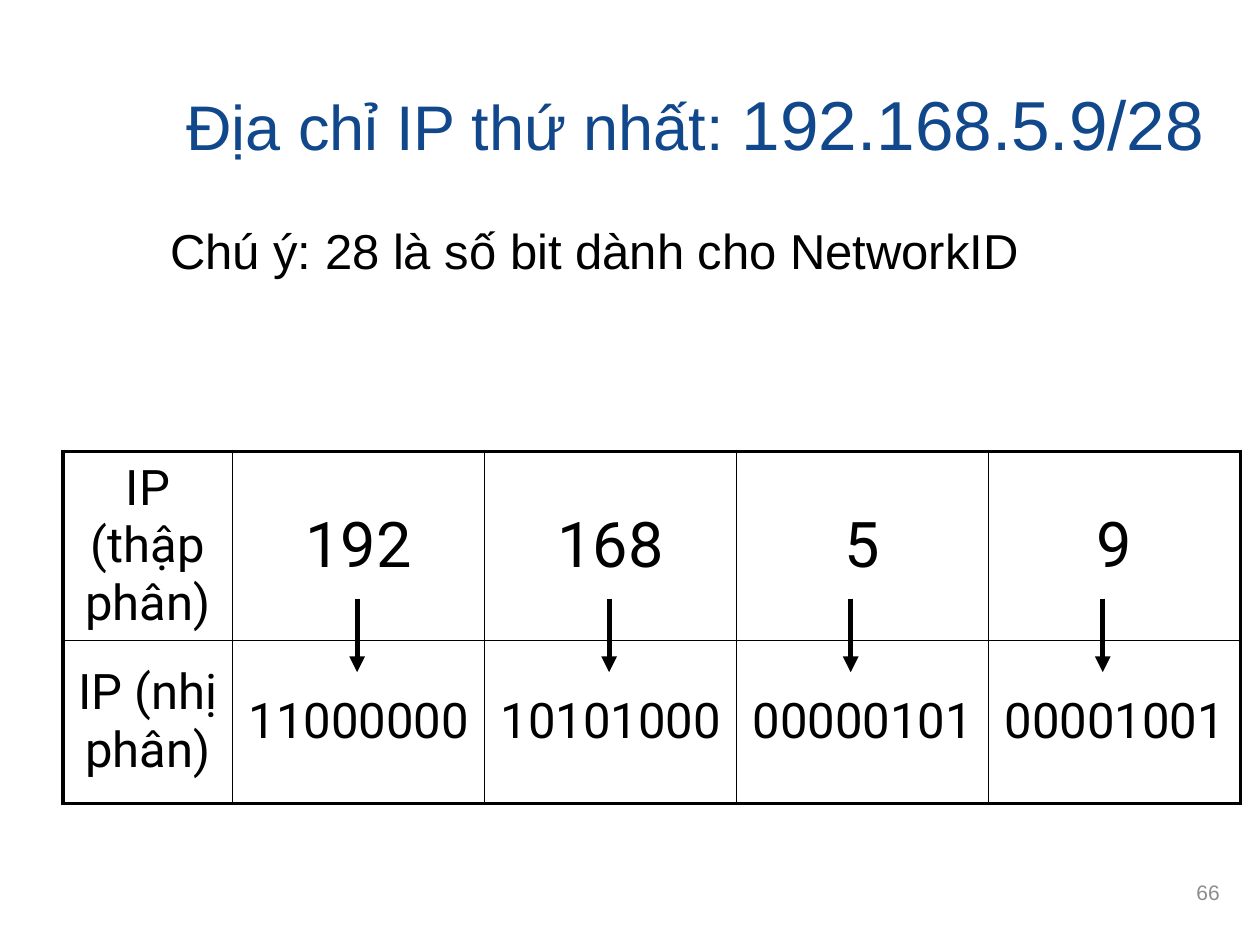
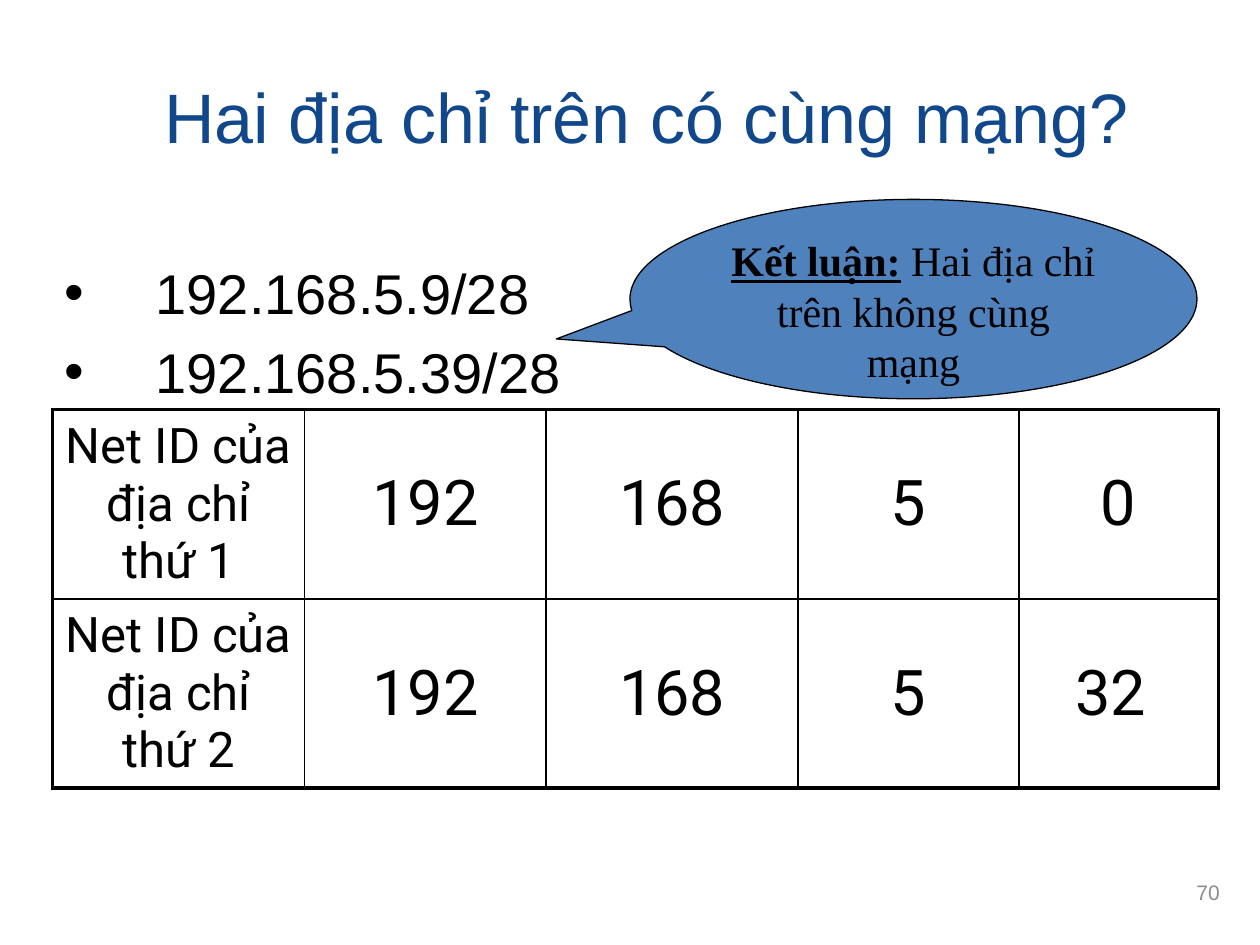
from dataclasses import dataclass

from lxml import etree
from pptx import Presentation
from pptx.dml.color import RGBColor
from pptx.enum import shapes, text
from pptx.oxml import ns
from pptx.util import Cm, Pt


@dataclass(frozen=True)
class Theme:
    title: str = "11478B"
    ink: str = "000000"
    muted: str = "8C8C8C"
    callout: str = "4F81BD"
    sans: str = "Arial"
    table_font: str = "Roboto"
    serif: str = "Times New Roman"
    title_size: float = 40
    large: float = 36
    bullet_size: float = 32
    body: float = 28
    callout_size: float = 24
    page_size: float = 12
    thick: float = 2.25
    thin: float = 1
    arrow: float = 3


THEME = Theme()
ALIGN = text.PP_ALIGN
ANCHOR = text.MSO_ANCHOR


def rgb(value):
    return RGBColor.from_string(value)


def style(r, size, font=THEME.sans, color=THEME.ink):
    r.font.size = Pt(size)
    r.font.name = font
    r.font.color.rgb = rgb(color)


def add_text(slide, box, anchor=ANCHOR.TOP):
    """Add a wrapping text box; box is left, top, width, height in cm."""
    tf = slide.shapes.add_textbox(*map(Cm, box)).text_frame
    tf.word_wrap = True
    tf.vertical_anchor = anchor
    return tf


def add_title(slide, box, parts):
    p = add_text(slide, box, ANCHOR.MIDDLE).paragraphs[0]
    p.alignment = ALIGN.CENTER
    for words, size in parts:
        r = p.add_run()
        r.text = words
        style(r, size, color=THEME.title)


def add_body(slide, box, lines, size, bullets=False, line_spacing=1.0):
    tf = add_text(slide, box)
    tf.text = "\n".join(lines)
    for p in tf.paragraphs:
        p.line_spacing = line_spacing
        p.space_before = Pt(round(size * 0.22))
        style(p.runs[0], size)
        if bullets:
            pPr = p._p.get_or_add_pPr()
            pPr.set("marL", str(Cm(1.83)))
            pPr.set("indent", str(-Cm(1.83)))
            etree.SubElement(pPr, ns.qn("a:buFont"), typeface=THEME.sans)
            etree.SubElement(pPr, ns.qn("a:buChar"), char="•")


def add_page_number(slide, number):
    tf = add_text(slide, (19.56, 17.35, 5.28, 1.27), ANCHOR.MIDDLE)
    tf.text = str(number)
    p = tf.paragraphs[0]
    p.alignment = ALIGN.RIGHT
    style(p.runs[0], THEME.page_size, color=THEME.muted)


def set_borders(cell, outer_sides):
    """Draw all four borders, thicker on the table's outer sides."""
    tcPr = cell._tc.get_or_add_tcPr()
    for i, side in enumerate("LRTB"):
        width = THEME.thick if side in outer_sides else THEME.thin
        ln = etree.Element(ns.qn(f"a:ln{side}"), w=str(Pt(width)))
        fill = etree.SubElement(ln, ns.qn("a:solidFill"))
        etree.SubElement(fill, ns.qn("a:srgbClr"), val=THEME.ink)
        tcPr.insert(i, ln)


def add_grid(slide, left, top, widths, heights, rows, number_sizes):
    """Add a table with a label column and one number size per row."""
    table = slide.shapes.add_table(
        len(rows), len(widths), Cm(left), Cm(top),
        Cm(sum(widths)), Cm(sum(heights))).table
    table.first_row = table.horz_banding = False
    for column, width in zip(table.columns, widths):
        column.width = Cm(width)
    for i, (row, height) in enumerate(zip(rows, heights)):
        table.rows[i].height = Cm(height)
        for j, words in enumerate(row):
            cell = table.cell(i, j)
            cell.text = words
            cell.vertical_anchor = ANCHOR.MIDDLE
            cell.fill.background()
            p = cell.text_frame.paragraphs[0]
            p.alignment = ALIGN.CENTER
            size = number_sizes[i] if j else THEME.body
            style(p.runs[0], size, THEME.table_font)
            outer = {"L": j == 0, "R": j == len(widths) - 1,
                     "T": i == 0, "B": i == len(rows) - 1}
            set_borders(cell, [side for side in outer if outer[side]])


def add_down_arrow(slide, x, top, bottom):
    line = slide.shapes.add_connector(
        shapes.MSO_CONNECTOR.STRAIGHT, Cm(x), Cm(top), Cm(x), Cm(bottom))
    line.line.color.rgb = rgb(THEME.ink)
    line.line.width = Pt(THEME.arrow)
    etree.SubElement(line.line._get_or_add_ln(), ns.qn("a:tailEnd"),
                     type="triangle")
    etree.SubElement(line._element.spPr, ns.qn("a:effectLst"))


def add_callout(slide, box, tip, heading, message):
    sp = slide.shapes.add_shape(
        shapes.MSO_SHAPE.OVAL_CALLOUT, *map(Cm, box))
    sp.shadow.inherit = False
    sp.adjustments[0], sp.adjustments[1] = tip
    sp.fill.solid()
    sp.fill.fore_color.rgb = rgb(THEME.callout)
    sp.line.color.rgb = rgb(THEME.ink)
    sp.line.width = Pt(0.75)
    tf = sp.text_frame
    tf.word_wrap = True
    tf.vertical_anchor = ANCHOR.TOP
    p = tf.paragraphs[0]
    p.alignment = ALIGN.CENTER
    for words, strong in ((heading, True), (message, False)):
        r = p.add_run()
        r.text = words
        style(r, THEME.callout_size, THEME.serif)
        r.font.bold = r.font.underline = strong


def build_first_address(slide):
    add_title(slide, (3.4, 0.86, 21.23, 3.25),
              [("Địa chỉ IP thứ nhất: ", THEME.large),
               ("192.168.5.9/28 ", 39.6)])
    add_body(slide, (3.18, 4.45, 20.52, 3.6),
             ["Chú ý: 28 là số bit dành cho NetworkID"],
             THEME.body, line_spacing=0.9)
    add_grid(slide, 1.27, 9.1, [3.42] + [5.08] * 4, [3.71, 3.28],
             [["IP (thập phân)", "192", "168", "5", "9"],
              ["IP (nhị phân)", "11000000 ", "10101000 ",
               "00000101 ", "00001001 "]],
             [THEME.large, THEME.body])
    add_page_number(slide, 66)
    # Decimal to binary
    for x in (7.2, 12.28, 17.15, 22.23):
        add_down_arrow(slide, x, 12.07, 13.55)


def build_comparison(slide):
    add_title(slide, (2.96, 1.06, 20.53, 2.54),
              [("Hai địa chỉ trên có cùng mạng? ", THEME.title_size)])
    add_body(slide, (1.06, 5.08, 11.22, 3.18),
             ["192.168.5.9/28", "192.168.5.39/28"],
             THEME.bullet_size, bullets=True)
    add_grid(slide, 1.06, 8.26, [5.08, 4.87, 5.08, 4.45, 4.02], [3.71] * 2,
             [["Net ID của địa chỉ thứ 1", "192", "168", "5", "0"],
              ["Net ID của địa chỉ thứ 2", "192", "168", "5", "32 "]],
             [THEME.large] * 2)
    add_page_number(slide, 70)
    # Conclusion
    add_callout(slide, (12.7, 4.02, 11.43, 4.02), (-0.63, 0.2),
                "Kết luận:", " Hai địa chỉ trên không cùng mạng")


def main():
    prs = Presentation()
    prs.slide_width, prs.slide_height = Cm(25.4), Cm(19.05)
    for build in (build_first_address, build_comparison):
        build(prs.slides.add_slide(prs.slide_layouts[6]))
    prs.save("out.pptx")


if __name__ == "__main__":
    main()
